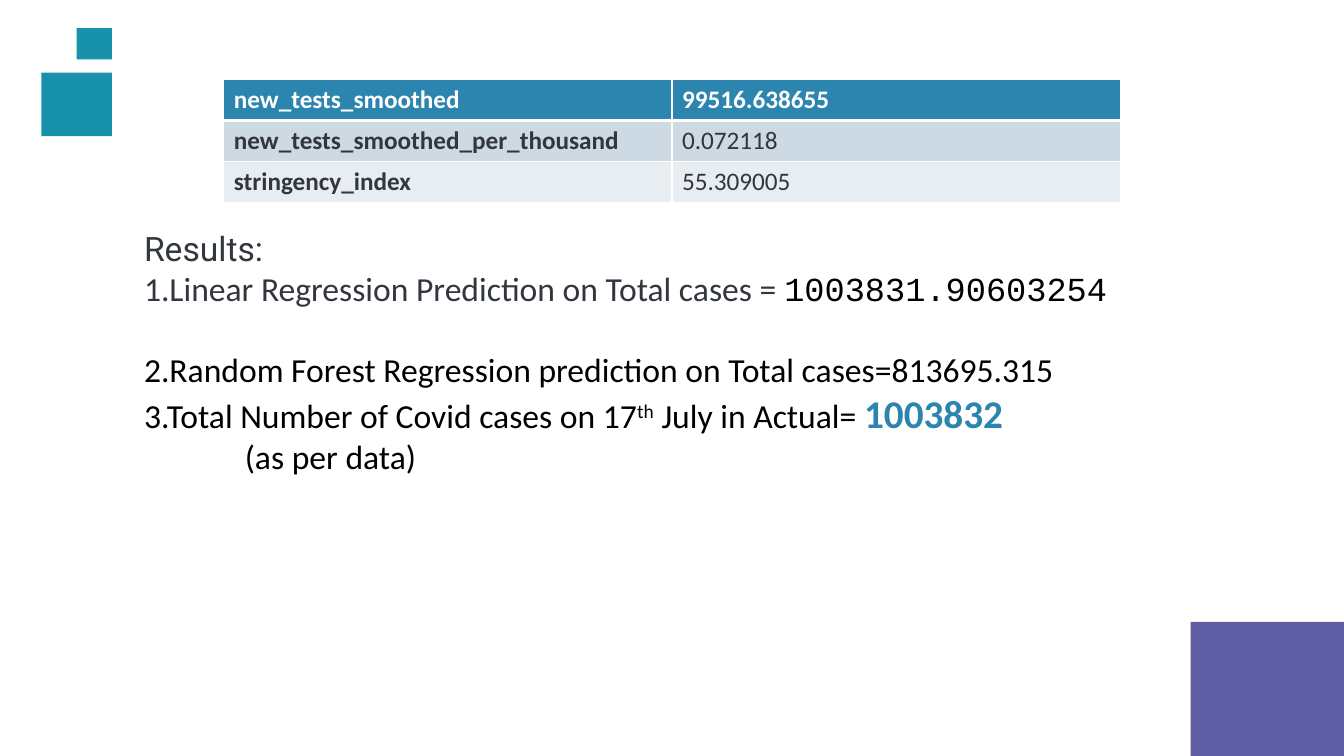
from lxml.etree import SubElement
from pptx import Presentation
from pptx.dml.color import RGBColor
from pptx.enum.shapes import MSO_SHAPE as Shape
from pptx.enum.text import MSO_ANCHOR as Anchor, MSO_AUTO_SIZE as AutoSize
from pptx.oxml.ns import qn
from pptx.util import Inches, Pt

# Content
WHITE, BLACK, DARK = "FFFFFF", "000000", "32363F"
BLUE, TEAL, PURPLE = "2C85AE", "1891AB", "5E5CA2"

SQUARES = [  # left, top, width, height, colour
    (0.41, 0.72, 0.7, 0.63, TEAL),
    (0.76, 0.28, 0.35, 0.31, TEAL),
    (11.81, 6.17, 1.52, 1.33, PURPLE),
]

FEATURES = [
    ("new_tests_smoothed", "99516.638655"),
    ("new_tests_smoothed_per_thousand", "0.072118"),
    ("stringency_index", "55.309005"),
]
ROW_FILLS = [BLUE, "CDD9E3", "E8EDF2"]

PLAIN = dict(font="Calibri", size=24, color=BLACK)
RESULTS = [  # space before in points, left indent in inches, runs
    (0, 0, [("Results:", dict(font="Roboto", color=DARK))]),
    (0, 0, [("1.Linear Regression Prediction on Total cases = ", dict(color=DARK)),
            ("1003831.90603254", dict(font="Courier New"))]),
    (29, 0, [("2.Random Forest Regression prediction on Total cases=813695.315", {})]),
    (0, 0, [("3.Total Number of Covid cases on 17", {}),
            ("th", dict(raised=True)),
            (" July in Actual= ", {}),
            ("1003832", dict(size=28, color=BLUE, bold=True))]),
    (0, 1, [("(as per data)", {})]),
]


def rgb(color):
    return RGBColor.from_string(color)


def style(span, font, size, color, bold=False, raised=False):
    span.font.name = font
    span.font.size = Pt(size)
    span.font.bold = bold
    span.font.color.rgb = rgb(color)
    if raised:
        span._r.get_or_add_rPr().set("baseline", "30000")


def add_borders(cell, widths):
    properties = cell._tc.get_or_add_tcPr()
    for side, width in widths.items():
        line = SubElement(properties, qn("a:ln" + side), w=str(Pt(width)))
        fill = SubElement(line, qn("a:solidFill"))
        SubElement(fill, qn("a:srgbClr"), val=WHITE)


deck = Presentation()
deck.slide_width, deck.slide_height = Inches(13.33), Inches(7.5)
page = deck.slides.add_slide(deck.slide_layouts[6])

# Corner squares
for *place, color in SQUARES:
    square = page.shapes.add_shape(Shape.RECTANGLE, *map(Inches, place))
    square.shadow.inherit = False
    square.fill.solid()
    square.fill.fore_color.rgb = rgb(color)
    square.line.fill.background()

# Feature table
table = page.shapes.add_table(
    len(FEATURES), 2, Inches(2.22), Inches(0.79), Inches(8.89), Inches(1.22)).table
for r, (feature, fill) in enumerate(zip(FEATURES, ROW_FILLS)):
    header = r == 0
    for c, text in enumerate(feature):
        cell = table.cell(r, c)
        add_borders(cell, dict(L=1, R=1, T=3 if r == 1 else 1, B=3 if header else 1))
        cell.fill.solid()
        cell.fill.fore_color.rgb = rgb(fill)
        cell.vertical_anchor = Anchor.MIDDLE
        cell.text_frame.text = text
        style(cell.text_frame.paragraphs[0].runs[0], "Calibri", 18,
              WHITE if header else DARK, bold=header or c == 0)

# Results
box = page.shapes.add_textbox(Inches(1.33), Inches(2.21), Inches(9.91), Inches(3))
frame = box.text_frame
frame.word_wrap = True
frame.auto_size = AutoSize.SHAPE_TO_FIT_TEXT
for i, (space, indent, spans) in enumerate(RESULTS):
    para = frame.add_paragraph() if i else frame.paragraphs[0]
    if space:
        para.space_before = Pt(space)
    if indent:
        para._p.get_or_add_pPr().set("marL", str(Inches(indent)))
    for text, changes in spans:
        span = para.add_run()
        span.text = text
        style(span, **{**PLAIN, **changes})

deck.save("out.pptx")
